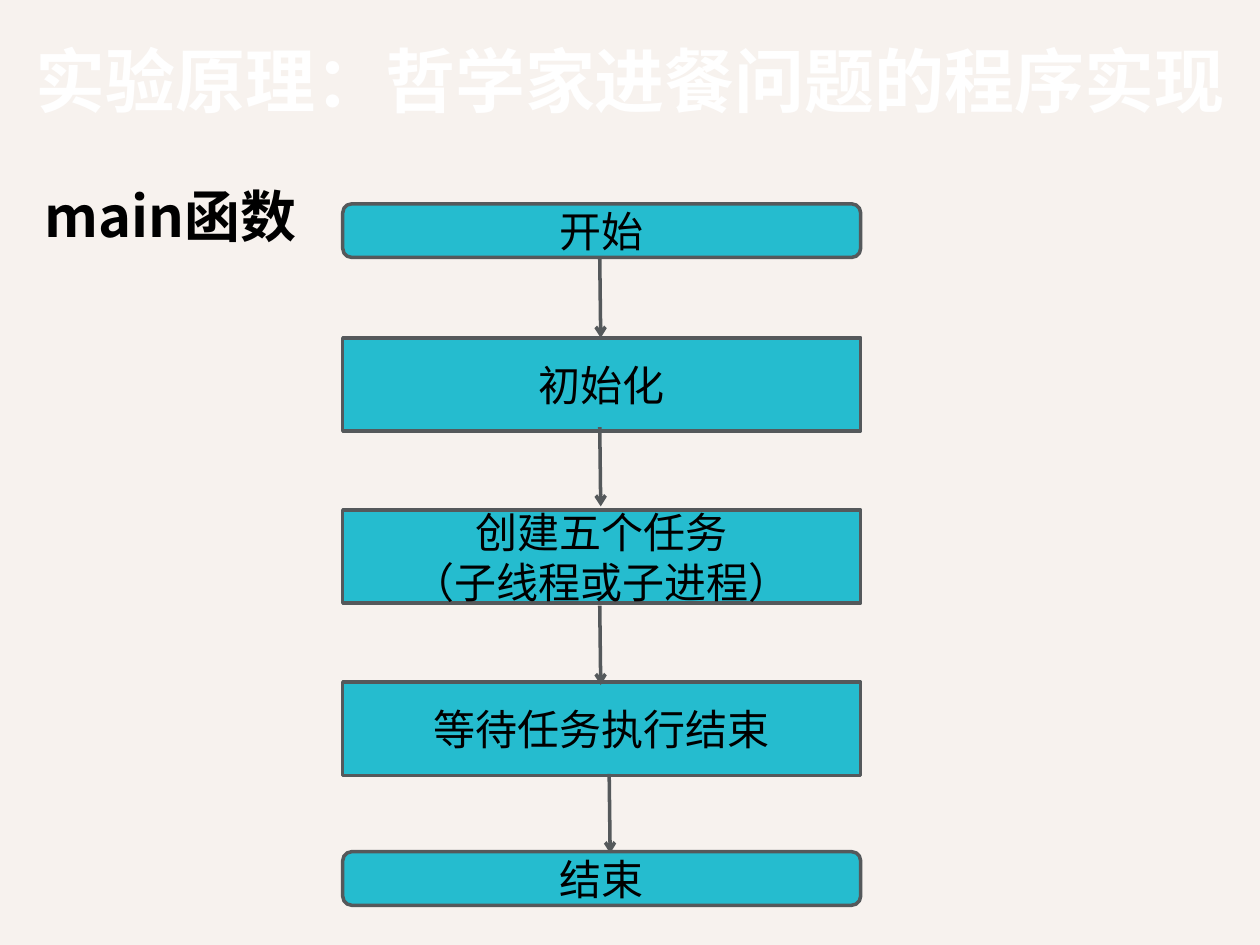
from lxml import etree
from pptx import Presentation
from pptx import util as u
from pptx.dml.color import RGBColor
from pptx.enum import shapes, text
from pptx.oxml.ns import qn

CJK = "Noto Sans CJK SC"
FILL, LINE = "25BCCF", "55595B"
LEFT, BOX_W = 6.91, 10.44
PROCESS_TOP, PROCESS_H, PITCH = 6.81, 1.88, 3.47
TERMINAL_H = 1.08
ARROW_LEN = 1.6


def rgb(value):
    return RGBColor.from_string(value)


def place(sp, x, y, w, h):
    sp.left, sp.top, sp.width, sp.height = (u.Cm(v) for v in (x, y, w, h))


def write(sp, content, size=24, font="Calibri", color="000000", bold=False,
          align=text.PP_ALIGN.CENTER, anchor=text.MSO_ANCHOR.MIDDLE,
          before=0, margin=0.25):
    """Fill a shape with text, one paragraph per line."""
    tf = sp.text_frame
    tf.word_wrap = True
    tf.auto_size = text.MSO_AUTO_SIZE.NONE
    tf.vertical_anchor = anchor
    tf.margin_left = tf.margin_right = u.Cm(margin)
    tf.text = content
    for p in tf.paragraphs:
        p.alignment = align
        p.space_before = u.Pt(before)
        for r in p.runs:
            r.font.size, r.font.bold, r.font.name = u.Pt(size), bold, font
            r.font.color.rgb = rgb(color)
            ea = etree.SubElement(r.font._element, qn("a:ea"))
            ea.set("typeface", CJK)


def outline(sp):
    sp.line.color.rgb = rgb(LINE)
    sp.line.width = u.Pt(2)


def add_step(s, kind, y, h, content):
    sp = s.shapes.add_shape(kind, 0, 0, 0, 0)
    place(sp, LEFT, y, BOX_W, h)
    sp.shadow.inherit = False
    sp.fill.solid()
    sp.fill.fore_color.rgb = rgb(FILL)
    outline(sp)
    write(sp, content)


def add_arrow(s, x, y):
    line = s.shapes.add_connector(shapes.MSO_CONNECTOR.STRAIGHT, u.Cm(x), u.Cm(y),
                                  u.Cm(x + 0.02), u.Cm(y + ARROW_LEN))
    outline(line)
    etree.SubElement(line.line._get_or_add_ln(), qn("a:tailEnd"), type="arrow")
    etree.SubElement(line._element.spPr, qn("a:effectLst"))


def main():
    prs = Presentation()
    prs.slide_width, prs.slide_height = u.Cm(25.4), u.Cm(19.05)
    s = prs.slides.add_slide(prs.slide_layouts[5])
    s.background.fill.solid()
    s.background.fill.fore_color.rgb = rgb("F7F2EE")

    title = s.shapes.title
    place(title, 0, 0.4, 25.4, 2.4)
    write(title, "实验原理：哲学家进餐问题的程序实现", size=40, font=CJK,
          color="FFFFFF", bold=True, margin=0)

    terminal = shapes.MSO_SHAPE.FLOWCHART_ALTERNATE_PROCESS
    add_step(s, terminal, 4.11, TERMINAL_H, "开始")
    steps = ["初始化", "创建五个任务\n（子线程或子进程）", "等待任务执行结束"]
    for i, content in enumerate(steps):
        add_step(s, shapes.MSO_SHAPE.FLOWCHART_PROCESS,
                 PROCESS_TOP + i * PITCH, PROCESS_H, content)
    add_step(s, terminal, 17.17, TERMINAL_H, "结束")

    for x, y in [(12.09, 5.21), (12.09, 8.61), (12.09, 12.21), (12.28, 15.6)]:
        add_arrow(s, x, y)

    label = s.shapes.add_textbox(0, 0, 0, 0)
    place(label, 0.64, 3.53, 6.07, 2)
    write(label, "main函数", size=32, font=CJK, bold=True, before=8,
          align=text.PP_ALIGN.LEFT, anchor=text.MSO_ANCHOR.TOP)

    prs.save("out.pptx")


if __name__ == "__main__":
    main()
